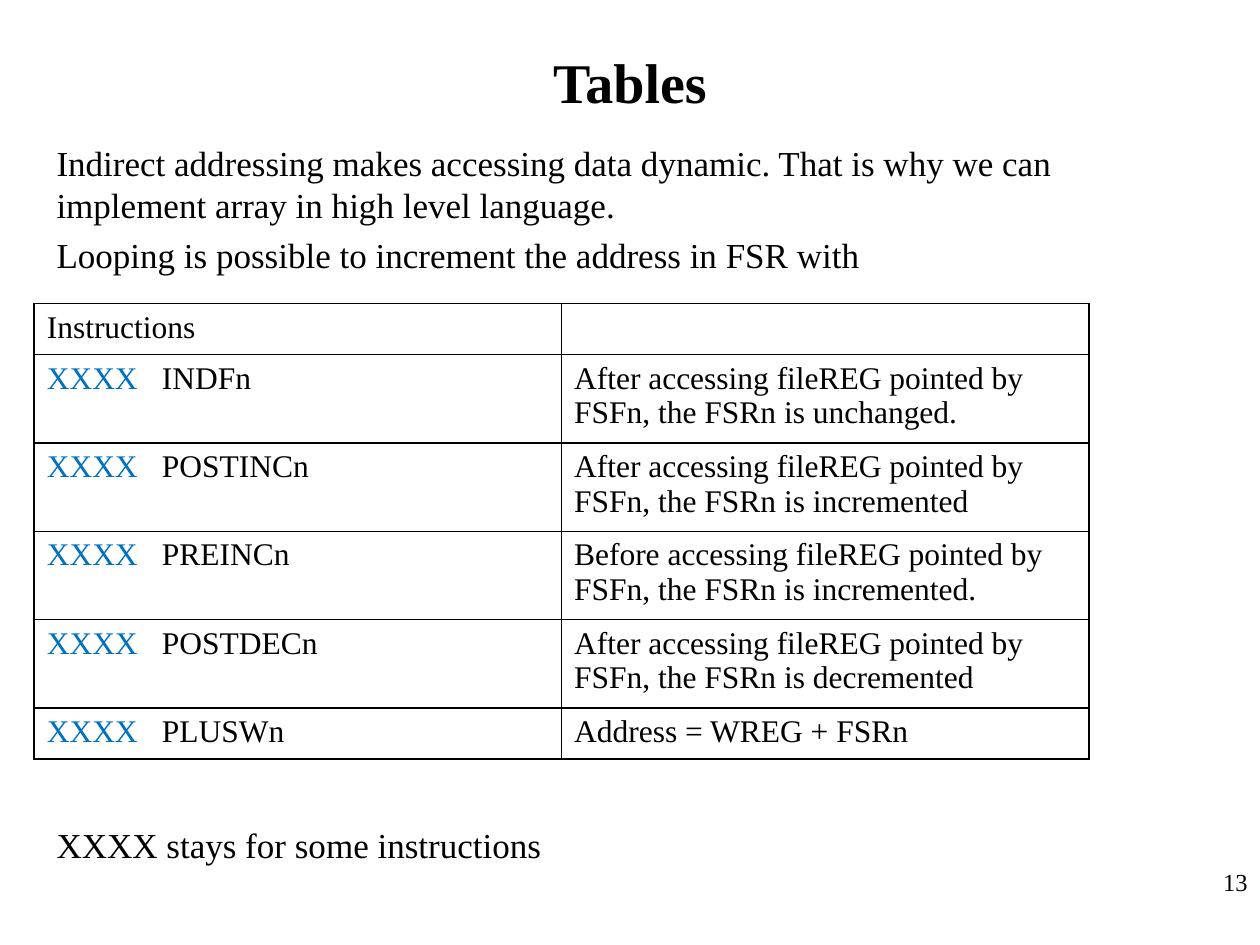
"""Build the slide on indirect addressing with FSR tables."""
import pptx
import pptx.dml.color
import pptx.enum.text
import pptx.oxml
import pptx.oxml.ns
import pptx.util

COLORS = {"ink": "000000", "opcode": "0070C0"}
ALIGN = pptx.enum.text.PP_ALIGN
ANCHOR = pptx.enum.text.MSO_ANCHOR
NAMESPACE = pptx.oxml.ns.nsdecls("a")


class SlideBuilder:
    FONT = "Times New Roman"

    def __init__(self, slide):
        self.slide = slide

    def style(self, target, values):
        for name, value in values.items():
            setattr(target, name, value)

    def place(self, left, top, width, height):
        return [pptx.util.Cm(length) for length in (left, top, width, height)]

    def words(self, paragraph, text, size, color="ink", bold=False):
        run = paragraph.add_run()
        run.text = text
        self.style(run.font, {"name": self.FONT, "size": pptx.util.Pt(size), "bold": bold})
        run.font.color.rgb = pptx.dml.color.RGBColor.from_string(COLORS[color])

    def title(self, text, box):
        heading = self.slide.shapes.title
        self.style(heading, dict(zip(("left", "top", "width", "height"), self.place(*box))))
        heading.text_frame.vertical_anchor = ANCHOR.MIDDLE
        paragraph = heading.text_frame.paragraphs[0]
        paragraph.alignment = ALIGN.CENTER
        self.words(paragraph, text, 32, bold=True)

    def text(self, lines, box, size, align=ALIGN.LEFT):
        frame = self.slide.shapes.add_textbox(*self.place(*box)).text_frame
        frame.word_wrap = True
        for index, (line, gap) in enumerate(lines):
            paragraph = frame.add_paragraph() if index else frame.paragraphs[0]
            self.style(paragraph, {"alignment": align, "space_before": pptx.util.Pt(gap)})
            self.words(paragraph, line, size)

    def border(self, cell):
        properties = cell._tc.get_or_add_tcPr()
        for position, edge in enumerate(("lnL", "lnR", "lnT", "lnB")):
            line = pptx.oxml.parse_xml(
                f'<a:{edge} {NAMESPACE} w="12700"><a:solidFill>'
                f'<a:srgbClr val="{COLORS["ink"]}"/></a:solidFill></a:{edge}>')
            properties.insert(position, line)

    def tab_stop(self, paragraph, position):
        paragraph._p.get_or_add_pPr().append(pptx.oxml.parse_xml(
            f'<a:tabLst {NAMESPACE}>'
            f'<a:tab pos="{pptx.util.Cm(position)}" algn="l"/></a:tabLst>'))

    def table(self, rows, left, top, width, heights, size):
        box = self.place(left, top, width, sum(heights))
        grid = self.slide.shapes.add_table(len(rows), 2, *box).table
        self.style(grid, {"first_row": False, "horz_banding": False})
        for row, height, cells in zip(grid.rows, heights, rows):
            row.height = pptx.util.Cm(height)
            for cell, parts in zip(row.cells, cells):
                cell.fill.background()
                self.border(cell)
                paragraph = cell.text_frame.paragraphs[0]
                if len(parts) > 1:
                    self.tab_stop(paragraph, 2.32)
                for part, color in parts:
                    self.words(paragraph, part, size, color)


def main():
    deck = pptx.Presentation()
    deck.slide_width, deck.slide_height = pptx.util.Cm(25.4), pptx.util.Cm(19.05)
    builder = SlideBuilder(deck.slides.add_slide(deck.slide_layouts[5]))

    builder.title("Tables", (1.9, 0.53, 21.6, 2.2))
    builder.text([
        ("Indirect addressing makes accessing data dynamic. "
         "That is why we can implement array in high level language.", 5),
        ("Looping is possible to increment the address in FSR with", 5),
        ("XXXX stays for some instructions", 313),
    ], (0.89, 2.72, 23.2, 15.27), 20)

    registers = {
        "INDFn": "After accessing fileREG pointed by FSFn, the FSRn is unchanged.",
        "POSTINCn": "After accessing fileREG pointed by FSFn, the FSRn is incremented",
        "PREINCn": "Before accessing fileREG pointed by FSFn, the FSRn is incremented.",
        "POSTDECn": "After accessing fileREG pointed by FSFn, the FSRn is decremented",
        "PLUSWn": "Address = WREG + FSRn",
    }
    header = [[("Instructions", "ink")], []]
    instructions = [
        [[("XXXX", "opcode"), (f"\t{register}", "ink")], [(effect, "ink")]]
        for register, effect in registers.items()
    ]
    builder.table([header] + instructions, 0.69, 6.12, 21.26,
                  [1.03] + [1.78] * 4 + [1.03], 18)

    builder.text([("13", 0)], (20.12, 17.35, 5.28, 1.27), 14, ALIGN.RIGHT)
    deck.save("out.pptx")


if __name__ == "__main__":
    main()
